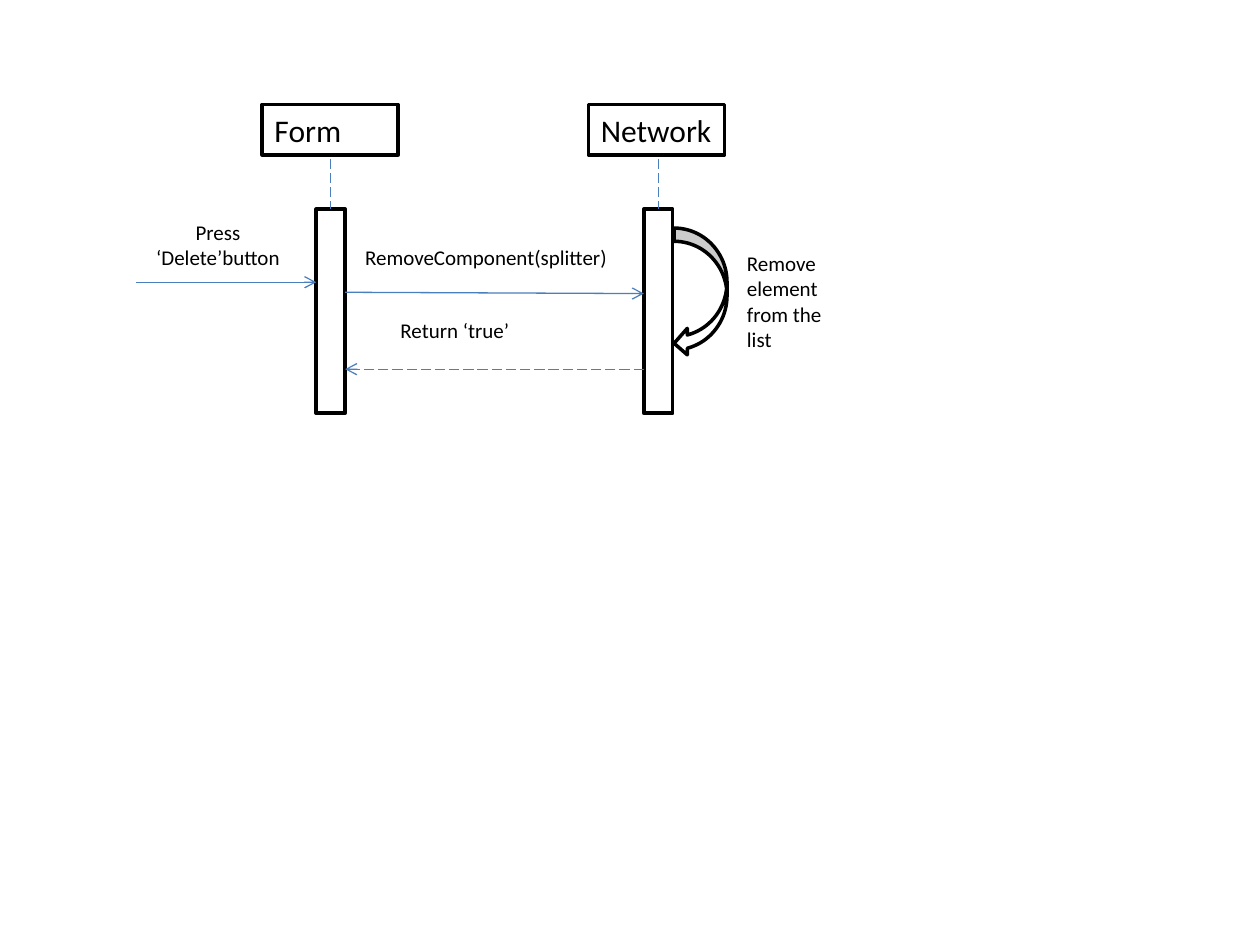
from lxml import etree
from pptx import Presentation
from pptx.dml.color import RGBColor
from pptx.enum.dml import MSO_LINE_DASH_STYLE as Dash
from pptx.enum.shapes import MSO_CONNECTOR as Connector, MSO_SHAPE as Shape
from pptx.enum.text import PP_ALIGN as Align
from pptx.oxml.ns import qn
from pptx.util import Inches, Pt

COLORS = {"paper": "FFFFFF", "ink": "000000", "message": "4B7EBC"}
HEADER_SIZE = (1.08, 0.4)
BAR_SIZE = (0.23, 1.62)
HEADER_TOP, LIFELINE_TOP, BAR_TOP = 0.83, 1.26, 1.66


def color(name):
    return RGBColor.from_string(COLORS[name])


def paint(shape, outlined=True):
    shape.fill.solid()
    shape.fill.fore_color.rgb = color("paper")
    if outlined:
        shape.line.color.rgb = color("ink")
        shape.line.width = Pt(2)


def add_text(page, text, box, size=12, align=Align.LEFT, outlined=False):
    label = page.shapes.add_textbox(*map(Inches, box))
    paint(label, outlined)
    label.text_frame.word_wrap = True
    para = label.text_frame.paragraphs[0]
    para.text = text
    para.alignment = align
    para.font.name = "Calibri"
    para.font.size = Pt(size)
    para.font.color.rgb = color("ink")


def add_outline(page, kind, box):
    shape = page.shapes.add_shape(kind, *map(Inches, box))
    shape.shadow.inherit = False
    paint(shape)
    return shape


def add_line(page, start, end, dashed=False, arrow=False):
    line = page.shapes.add_connector(Connector.STRAIGHT, *map(Inches, start + end))
    line.line.color.rgb = color("message")
    line.line.width = Pt(0.75)
    if dashed:
        line.line.dash_style = Dash.LONG_DASH
    if arrow:
        etree.SubElement(line.line._get_or_add_ln(), qn("a:tailEnd"), type="arrow")
    etree.SubElement(line._element.spPr, qn("a:effectLst"))
    return line


def add_participant(page, name, header_left, bar_left):
    """Header box, dashed lifeline and activation bar of one object."""
    add_text(page, name, (header_left, HEADER_TOP, *HEADER_SIZE), size=18, outlined=True)
    bar = add_outline(page, Shape.RECTANGLE, (bar_left, BAR_TOP, *BAR_SIZE))
    middle = bar_left + BAR_SIZE[0] / 2
    lifeline = add_line(page, (middle, LIFELINE_TOP), (middle, BAR_TOP), dashed=True)
    lifeline.end_connect(bar, 0)


def add_message(page, text, box, start, end, dashed=False, align=Align.LEFT):
    """Arrow between two points with its label in the given box."""
    add_text(page, text, box, align=align)
    add_line(page, start, end, dashed, arrow=True)


def add_self_call(page, text, arrow_box, text_box):
    add_outline(page, Shape.CURVED_LEFT_ARROW, arrow_box)
    add_text(page, text, text_box)


def main():
    deck = Presentation()
    deck.slide_width, deck.slide_height = Inches(10), Inches(7.5)
    page = deck.slides.add_slide(deck.slide_layouts[6])

    form_left, network_left = 2.51, 5.11
    form_right = form_left + BAR_SIZE[0]
    add_participant(page, "Form", 2.08, form_left)
    add_participant(page, "Network", 4.67, network_left)

    add_message(page, "Press ‘Delete’button", (1.09, 1.69, 1.28, 0.5),
                (1.08, 2.24), (form_left, 2.24), align=Align.CENTER)
    add_message(page, "RemoveComponent(splitter)", (2.8, 1.89, 2.26, 0.3),
                (form_right, 2.32), (network_left, 2.33))
    add_message(page, "Return ‘true’", (3.08, 2.47, 1.85, 0.3),
                (network_left, 2.93), (form_right, 2.93), dashed=True)
    add_self_call(page, "Remove element from the list",
                  (5.35, 1.81, 0.42, 1.02), (5.83, 1.94, 0.83, 0.91))
    deck.save("out.pptx")


if __name__ == "__main__":
    main()
